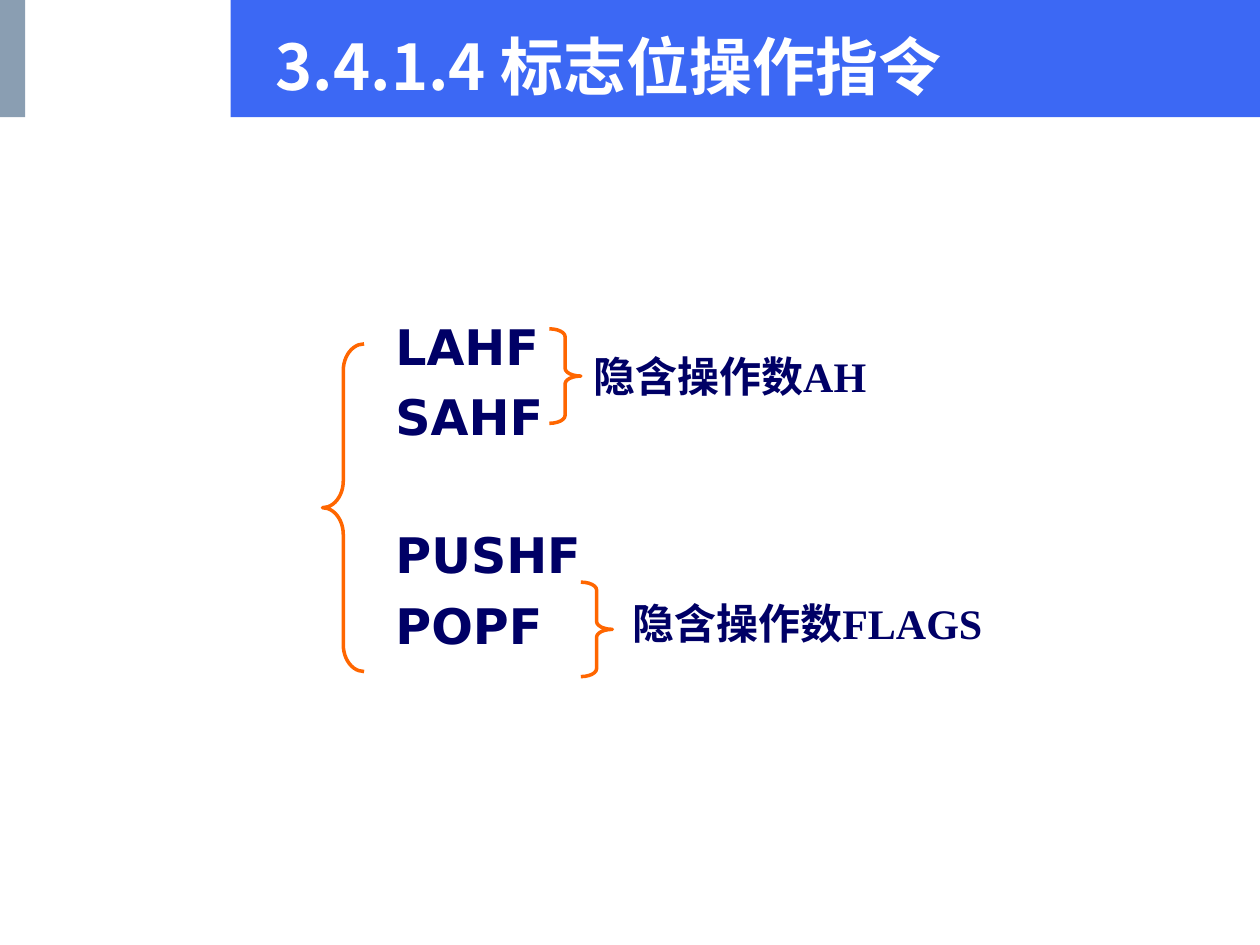
from pptx import Presentation
from pptx.dml.color import RGBColor
from pptx.enum.shapes import MSO_SHAPE
from pptx.enum.text import MSO_ANCHOR
from pptx.util import Inches, Pt

RECT = MSO_SHAPE.RECTANGLE
LEFT, RIGHT = MSO_SHAPE.LEFT_BRACE, MSO_SHAPE.RIGHT_BRACE
TOP, MIDDLE = MSO_ANCHOR.TOP, MSO_ANCHOR.MIDDLE
COLS, ROWS = 100, 75
WIDE, HIGH = Inches(10), Inches(7.5)
NAVY, ORANGE, WHITE = "000066", "FF6600", "FFFFFF"


def color(code):
    """Turn a hex string into a colour."""
    return RGBColor.from_string(code)


def place(box, cell):
    """Turn a cell, counted from the box's corner, into slide lengths."""
    x, y, w, h = cell
    return (round((box[0] + x) * WIDE / COLS), round((box[1] + y) * HIGH / ROWS),
            round(w * WIDE / COLS), round(h * HIGH / ROWS))


def block(slide, box, cell, fill):
    """Draw a plain filled rectangle."""
    shape = slide.shapes.add_shape(RECT, *place(box, cell))
    shape.shadow.inherit = False
    shape.fill.solid()
    shape.fill.fore_color.rgb = color(fill)
    shape.line.fill.background()


def brace(slide, box, cell, kind, curve):
    """Draw an orange brace with the given curve."""
    shape = slide.shapes.add_shape(kind, *place(box, cell))
    shape.shadow.inherit = False
    shape.adjustments[0] = curve
    shape.fill.background()
    shape.line.color.rgb = color(ORANGE)
    shape.line.width = Pt(2)


def write(slide, box, cell, lines, face, size, ink, anchor=TOP):
    """Write bold lines, each given as its text and the space before it."""
    frame = slide.shapes.add_textbox(*place(box, cell)).text_frame
    frame.word_wrap = True
    frame.vertical_anchor = anchor
    for i, (text, gap) in enumerate(lines):
        para = frame.paragraphs[0] if i == 0 else frame.add_paragraph()
        para.text = text
        para.space_before = Pt(gap)
        font = para.font
        font.name, font.size, font.bold = face, Pt(size), True
        font.color.rgb = color(ink)


def header(slide, box):
    """Draw the title bar with its side block."""
    high = box[3]
    block(slide, box, (18.3, 0, box[2] - 18.3, high), "3C68F4")
    block(slide, box, (0, 0, 2, high), "8A9EB2")
    write(slide, box, (20.9, 2.1, 71.7, 6.2), [("3.4.1.4 标志位操作指令", 0)],
          "Noto Sans CJK SC", 36, WHITE, MIDDLE)


def tree(slide, box):
    """Draw the instructions, grouped by braces with their operands."""
    names = [("LAHF", 0), ("SAHF", 6.5), ("PUSHF", 45.6), ("POPF", 6.5)]
    write(slide, box, (4.8, 0, 25.8, box[3]), names, "DejaVu Sans", 28, NAVY)
    brace(slide, box, (0, 2.7, 3.3, 26), LEFT, 0.645)
    notes = [((18, 1.5), (20.5, 2.7, 24.2, 5), "隐含操作数AH"),
             ((20.5, 21.6), (23.6, 22.3, 32.5, 5), "隐含操作数FLAGS")]
    for spot, cell, text in notes:
        brace(slide, box, (*spot, 2.5, 7.5), RIGHT, 0.25)
        write(slide, box, cell, [(text, 0)], "Times New Roman", 24, NAVY)


def main():
    """Build the slide and save it."""
    deck = Presentation()
    deck.slide_width, deck.slide_height = WIDE, HIGH
    slide = deck.slides.add_slide(deck.slide_layouts[6])
    header(slide, (0, 0, COLS, 9.3))
    tree(slide, (25.6, 24.6, 56.1, 30.8))
    deck.save("out.pptx")


if __name__ == "__main__":
    main()
